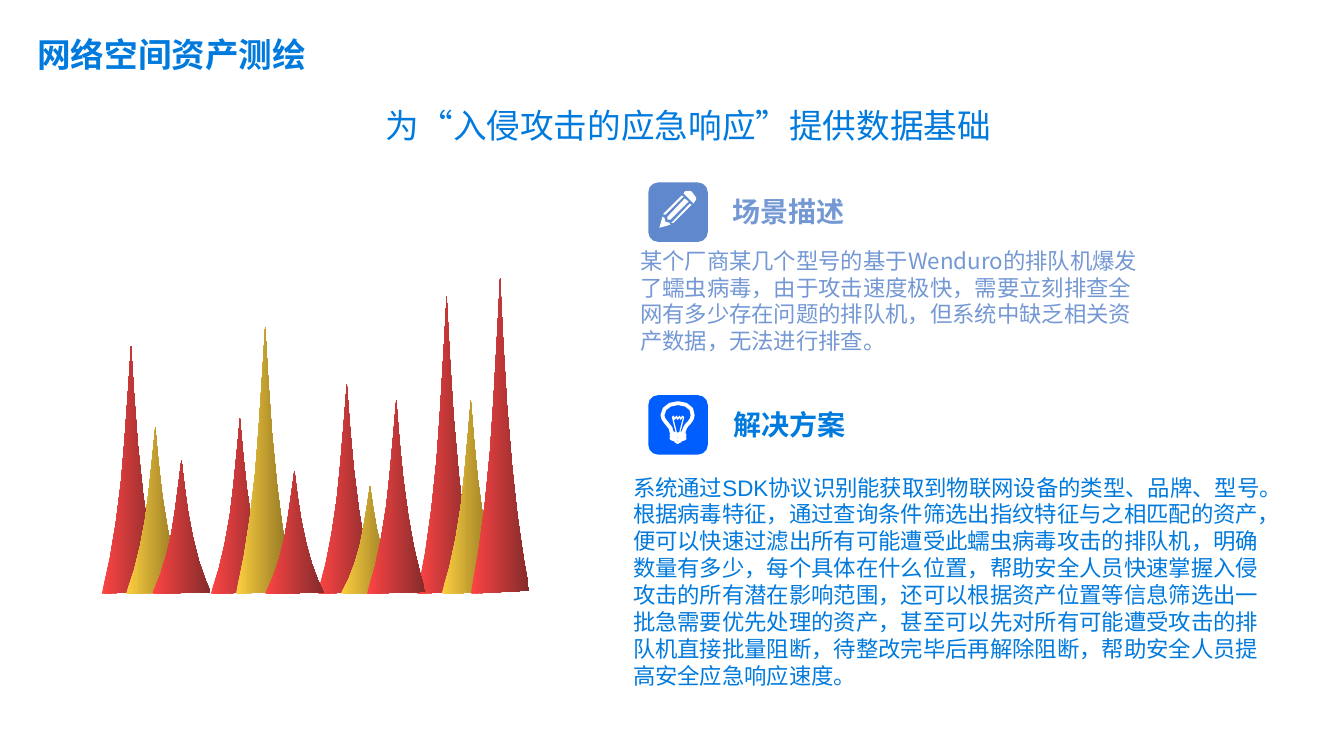
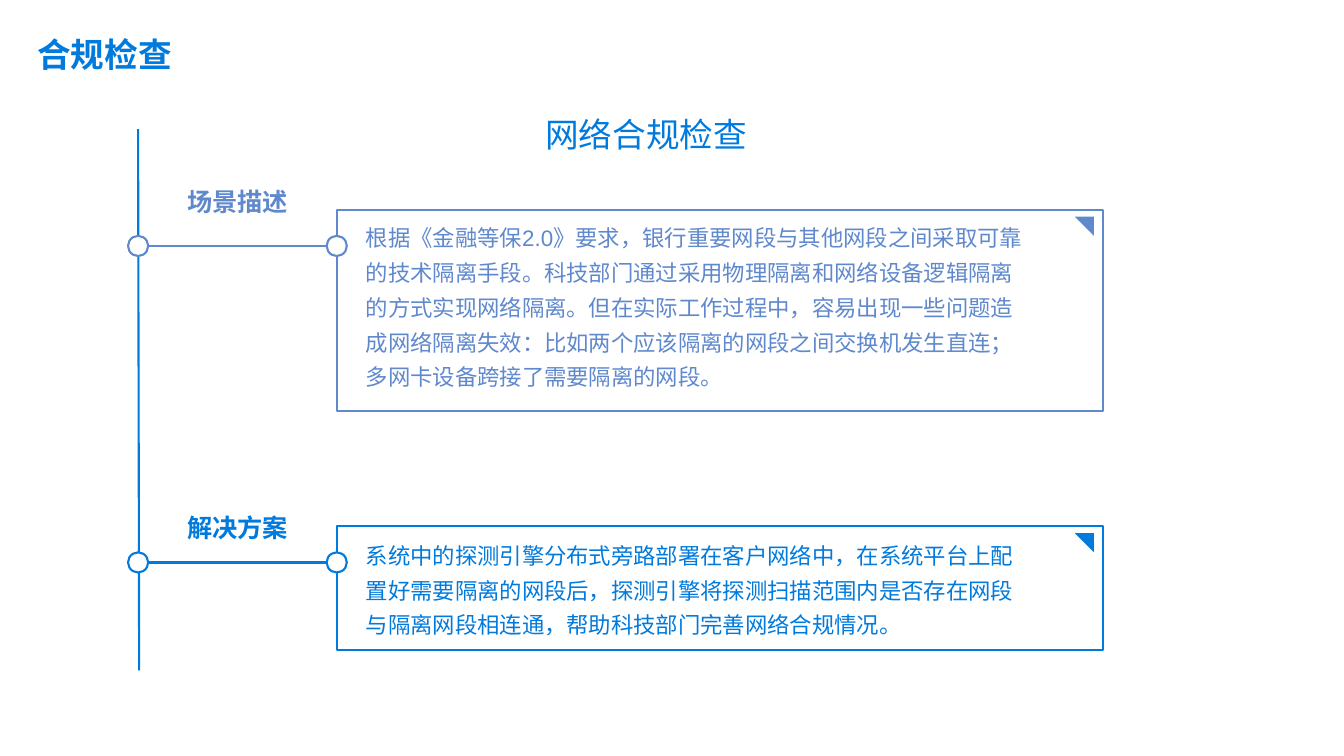
from pptx import Presentation
from pptx.dml.color import RGBColor
from pptx.enum.shapes import MSO_CONNECTOR as Connector, MSO_SHAPE as Preset
from pptx.enum.text import MSO_ANCHOR as Anchor, MSO_AUTO_SIZE as AutoSize, PP_ALIGN as Align
from pptx.oxml.ns import qn
from pptx.util import Pt
from lxml.etree import SubElement

PX = 9144
SLIDE_SIZE = (1333, 750)
BLUE, SLATE, PALE, VIVID, WHITE = "007ADD", "5F88CD", "7498D4", "005DFE", "FFFFFF"
RED = ("FE4444", "832B2B")
GOLD = ("FECF40", "846C21")
CJK, LATIN = "Noto Sans CJK SC", "Arial"
LINE_HEIGHT, LOOSE = 1.2, 1.29
CURVE_STEPS = 3

ASSET_TITLE = "网络空间资产测绘"
ASSET_SUBTITLE = ("为“入侵攻击的应急响应”提供数据基础", (373, 99, 620, 50))
ASSET_SECTIONS = [
    {
        "heading": "场景描述", "heading_box": (717, 188, 234, 44),
        "body": "某个厂商某几个型号的基于Wenduro的排队机爆发了蠕虫病毒，由于攻击速度极快，"
                "需要立刻排查全网有多少存在问题的排队机，但系统中缺乏相关资产数据，无法进行排查。",
        "body_box": (625, 240, 516, 131),
        "color": PALE, "font": CJK, "tile_top": 181, "tile_color": SLATE,
    },
    {
        "heading": "解决方案", "heading_box": (718, 399, 234, 44),
        "body": "系统通过SDK协议识别能获取到物联网设备的类型、品牌、型号。根据病毒特征，"
                "通过查询条件筛选出指纹特征与之相匹配的资产，便可以快速过滤出所有可能遭受此蠕虫病毒攻击的排队机，"
                "明确数量有多少，每个具体在什么位置，帮助安全人员快速掌握入侵攻击的所有潜在影响范围，"
                "还可以根据资产位置等信息筛选出一批急需要优先处理的资产，"
                "甚至可以先对所有可能遭受攻击的排队机直接批量阻断，待整改完毕后再解除阻断，"
                "帮助安全人员提高安全应急响应速度。",
        "body_box": (618, 465, 645, 123),
        "color": BLUE, "font": LATIN, "tile_top": 392, "tile_color": VIVID,
    },
]
TILE_LEFT, TILE_SIDE = 643, 59

PENCIL = [
    [(689, 200), (688, 202), (678, 192), (679, 190), (681, 189, 684, 189, 686, 190),
     (689, 194), (691, 196, 691, 198, 689, 200)],
    [(667, 220), (666, 221), (668, 221), (686, 203), (684, 202)],
    [(658, 212), (658, 213), (660, 213), (678, 195), (676, 194)],
    [(679, 197), (662, 215), (662, 218), (665, 218), (683, 200)],
    [(665, 223), (664, 221), (660, 220), (659, 216), (657, 215), (654, 226)],
]
BULB_GLASS = [(672, 400), (664, 400, 657, 405, 657, 412), (657, 416, 661, 419, 663, 422),
              (666, 424, 666, 429, 666, 429), (666, 429, 669, 431, 672, 431),
              (676, 431, 678, 429, 678, 429), (678, 429, 679, 424, 681, 422),
              (684, 419, 687, 416, 687, 412), (688, 405, 681, 400, 673, 400)]
BULB_FILAMENT = [(671, 430), (667, 414), (668, 413), (669, 416), (671, 413), (672, 416),
                 (674, 413), (675, 416), (677, 413), (678, 414), (674, 430)]
BULB_FOOT = [(676, 438), (672, 440), (669, 438)]
BULB_THREAD_TOPS = (430, 433)
BULB_THREAD_SIDES = [(667, 666), (678, 679)]
BULB_MIDDLE = 672

CONE_BASE, CONE_WIDTH = 589, 58
CONE_CURVE = [(29, 0), (27, 0.12, 22, 0.44, 19, 0.55), (14, 0.73, 9, 0.86, 0, 1), (CONE_WIDTH, 0.99),
              (54, 0.93, 45, 0.75, 41, 0.6), (35, 0.41, 32, 0.2, 29, 0)]
CONES = [
    (209, 415, RED), (101, 343, RED), (315, 381, RED), (414, 294, RED),
    (438, 397, GOLD), (125, 424, GOLD), (151, 456, RED), (234, 324, GOLD),
    (263, 467, RED), (338, 482, GOLD), (364, 397, RED), (467, 276, RED),
]

CHECK_TITLE = "合规检查"
CHECK_SUBTITLE = ("网络合规检查", (531, 108, 220, 50))
SPINE = (137, 128, 138, 665)
CARD_LEFT, CARD_WIDTH = 334, 760
DOT_LEFTS = (127, 324)
CHECK_CARDS = [
    {
        "heading": "场景描述", "heading_top": 171, "top": 208, "height": 200, "body_top": 210, "color": SLATE,
        "body": "根据《金融等保2.0》要求，银行重要网段与其他网段之间采取可靠的技术隔离手段。"
                "科技部门通过采用物理隔离和网络设备逻辑隔离的方式实现网络隔离。"
                "但在实际工作过程中，容易出现一些问题造成网络隔离失效："
                "比如两个应该隔离的网段之间交换机发生直连；多网卡设备跨接了需要隔离的网段。",
    },
    {
        "heading": "解决方案", "heading_top": 495, "top": 522, "height": 123, "body_top": 525, "color": BLUE,
        "body": "系统中的探测引擎分布式旁路部署在客户网络中，在系统平台上配置好需要隔离的网段后，"
                "探测引擎将探测扫描范围内是否存在网段与隔离网段相连通，帮助科技部门完善网络合规情况。",
    },
]


def rgb(value):
    return RGBColor.from_string(value)


def emu(lengths):
    return [round(length * PX) for length in lengths]


def write(frame, text, size, color, font=LATIN, bold=False, align=Align.LEFT, spacing=1, wrap=True):
    frame.word_wrap = wrap
    frame.auto_size = AutoSize.NONE
    frame.vertical_anchor = Anchor.TOP
    paragraph = frame.paragraphs[0]
    paragraph.alignment = align
    paragraph.line_spacing = Pt(round(size * LINE_HEIGHT * spacing, 1))
    run = paragraph.add_run()
    run.text = text
    run.font.size, run.font.bold = Pt(size), bold
    run.font.color.rgb = rgb(color)
    run.font.name = font
    properties = run.font._element
    properties.set("lang", "zh-CN")
    SubElement(properties, qn("a:ea")).set("typeface", CJK)


def add_text(slide, box, text, size, color, **style):
    write(slide.shapes.add_textbox(*emu(box)).text_frame, text, size, color, **style)


def paint(shape, fill=None, line=None, width=1.5):
    shape.shadow.inherit = False
    if fill is None:
        shape.fill.background()
    elif isinstance(fill, tuple):
        shape.fill.gradient()
        shape.fill.gradient_angle = 0
        for stop, color in zip(shape.fill.gradient_stops, fill):
            stop.color.rgb = rgb(color)
    else:
        shape.fill.solid()
        shape.fill.fore_color.rgb = rgb(fill)
    if line:
        shape.line.color.rgb = rgb(line)
        shape.line.width = Pt(width)
    else:
        shape.line.fill.background()


def add_preset(slide, preset, box, rotation=0, **look):
    shape = slide.shapes.add_shape(preset, *emu(box))
    shape.rotation = rotation
    paint(shape, **look)


def add_line(slide, ends, color):
    line = slide.shapes.add_connector(Connector.STRAIGHT, *emu(ends))
    line.line.color.rgb = rgb(color)
    line.line.width = Pt(1.5)
    SubElement(line._element.spPr, qn("a:effectLst"))


def flatten(outline):
    points = [outline[0]]
    for step in outline[1:]:
        if len(step) == 2:
            points.append(step)
            continue
        knots = [points[-1], step[:2], step[2:4], step[4:]]
        for i in range(1, CURVE_STEPS + 1):
            t = i / CURVE_STEPS
            weights = ((1 - t) ** 3, 3 * t * (1 - t) ** 2, 3 * t * t * (1 - t), t ** 3)
            points.append(tuple(sum(w * knot[axis] for w, knot in zip(weights, knots)) for axis in (0, 1)))
    return [emu(point) for point in points]


def add_outline(slide, outlines, closed=True, **look):
    first, *others = [flatten(outline) for outline in outlines]
    builder = slide.shapes.build_freeform(*first[0])
    builder.add_line_segments(first[1:], close=closed)
    for points in others:
        builder.move_to(*points[0])
        builder.add_line_segments(points[1:], close=closed)
    paint(builder.convert_to_shape(), **look)


def add_bulb(slide):
    add_outline(slide, [BULB_GLASS], line=WHITE, width=2.75)
    for y in BULB_THREAD_TOPS:
        for inner, outer in BULB_THREAD_SIDES:
            thread = [(inner, y), (outer, y + 2), (BULB_MIDDLE, y + 4)]
            add_outline(slide, [thread], closed=False, fill=WHITE, line=WHITE, width=2.75)
    add_outline(slide, [BULB_FOOT], closed=False, fill=WHITE, line=WHITE, width=0.75)
    add_outline(slide, [BULB_FILAMENT], closed=False, line=WHITE, width=0.88)


def add_cone(slide, left, top, gradient):
    height = CONE_BASE - top
    outline = [tuple(top + value * height if i % 2 else left + value for i, value in enumerate(step))
               for step in CONE_CURVE]
    add_outline(slide, [outline], fill=gradient)


def start_slide(deck, title, subtitle):
    slide = deck.slides.add_slide(deck.slide_layouts[5])
    heading = slide.shapes.title
    heading.left, heading.top, heading.width, heading.height = emu((27, 29, 1089, 50))
    write(heading.text_frame, title, 24, BLUE, font=CJK, bold=True)
    text, box = subtitle
    add_text(slide, box, text, 24, BLUE, wrap=False)
    return slide


def build_asset_slide(deck):
    slide = start_slide(deck, ASSET_TITLE, ASSET_SUBTITLE)
    for section in ASSET_SECTIONS:
        color = section["color"]
        add_preset(slide, Preset.ROUNDED_RECTANGLE, (TILE_LEFT, section["tile_top"], TILE_SIDE, TILE_SIDE),
                   fill=section["tile_color"])
        add_text(slide, section["heading_box"], section["heading"], 20, color, font=CJK, bold=True)
        add_text(slide, section["body_box"], section["body"], 16, color, font=section["font"])
    add_outline(slide, PENCIL, fill=WHITE)
    add_bulb(slide)
    for cone in CONES:
        add_cone(slide, *cone)


def build_check_slide(deck):
    slide = start_slide(deck, CHECK_TITLE, CHECK_SUBTITLE)
    add_line(slide, SPINE, BLUE)
    for card in CHECK_CARDS:
        top, color = card["top"], card["color"]
        branch = top + 36
        add_preset(slide, Preset.RECTANGLE, (CARD_LEFT, top, CARD_WIDTH, card["height"]), fill=WHITE, line=color)
        add_preset(slide, Preset.RIGHT_TRIANGLE, (1066, top + 7, 19, 19), rotation=180, fill=color)
        add_line(slide, (CARD_LEFT, branch, DOT_LEFTS[0], branch), color)
        for left in DOT_LEFTS:
            add_preset(slide, Preset.OVAL, (left, branch - 10, 20, 20), fill=WHITE, line=color)
        add_text(slide, (353, card["body_top"], 680, 63), card["body"], 16, color, spacing=LOOSE)
        add_text(slide, (127, card["heading_top"], 217, 63), card["heading"], 18, color,
                 font=CJK, bold=True, align=Align.CENTER, spacing=LOOSE)


def main():
    deck = Presentation()
    deck.slide_width, deck.slide_height = emu(SLIDE_SIZE)
    build_asset_slide(deck)
    build_check_slide(deck)
    deck.save("out.pptx")


if __name__ == "__main__":
    main()
